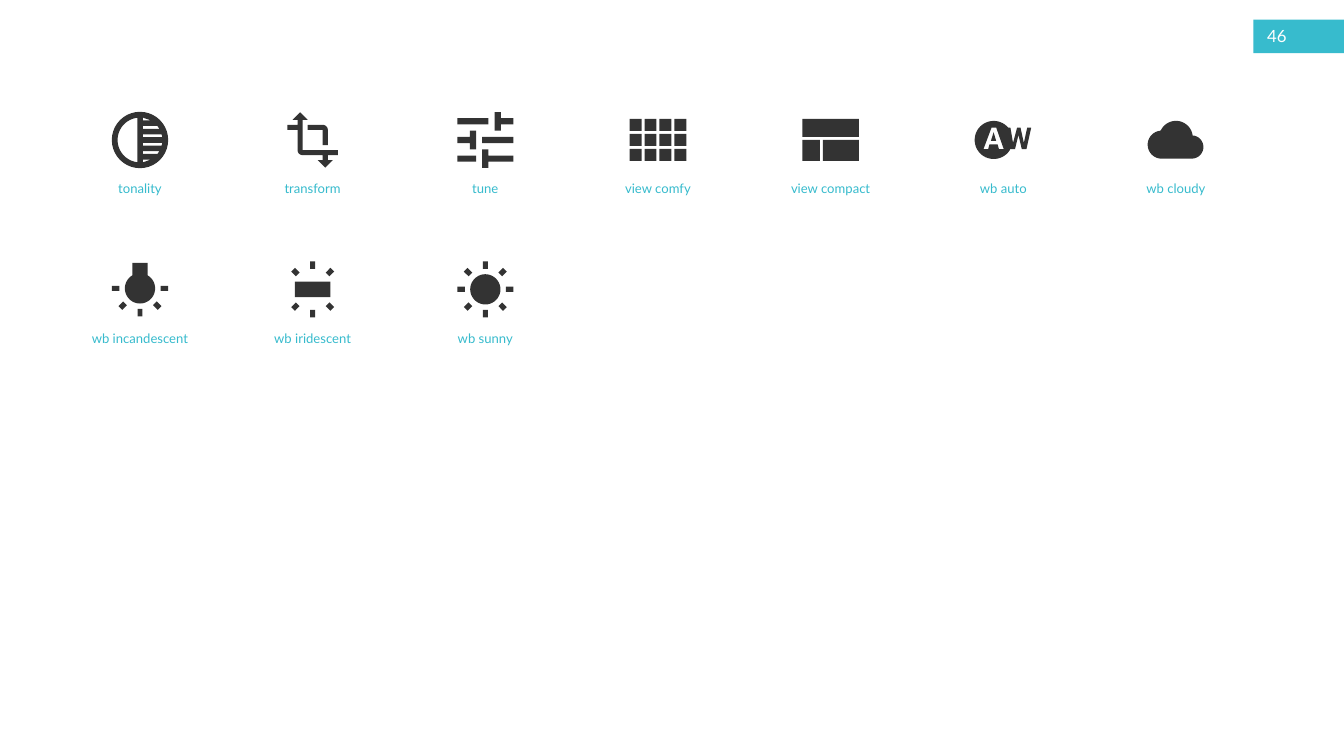
import math
from pptx import Presentation
from pptx import util as u
from pptx.dml import color
from pptx.enum import shapes, text

Pt = u.Pt
hues = {"teal": "37BBCD", "dark": "333333", "white": "FFFFFF"}
rgb = {name: color.RGBColor.from_string(code) for name, code in hues.items()}


def box(x, y, w, h):
    return [(x, y), (x + w, y), (x + w, y + h), (x, y + h)]


def arc(x, y, r, start, end):
    steps = 40
    turns = [math.radians(start + (end - start) * i / steps) for i in range(steps + 1)]
    return [(x + r * math.cos(t), y + r * math.sin(t)) for t in turns]


stripes = []
for y in (3, 12, 21):
    near, far = [max(3, math.sqrt(24 ** 2 - v ** 2)) for v in (y, y + 3)]
    for sign in (1, -1):
        stripes.append([(3, sign * y), (near, sign * y),
                        (far, sign * (y + 3)), (3, sign * (y + 3))])
tone = [arc(0, 0, 30.2, 0, 360), arc(0, 0, 24, 97, 263)] + stripes

crop = [
    [(5, 3), (5, 2), (-2, 2), (-2, -4), (-1, -4), (-2.5, -5.5), (-4, -4),
     (-3, -4), (-3, -3), (-5, -3), (-5, -2), (-3, -2)]
    + arc(-2, 2, 1, 180, 90)
    + [(2, 3), (2, 4), (1, 4), (2.5, 5.5), (4, 4), (3, 4), (3, 3)],
    [(-1, -2), (2, -2), (2, 1), (3, 1)] + arc(2, -2, 1, 0, -90) + [(-1, -3)],
]

tune = [
    box(-4.5, 2.5, 3, 1), box(-4.5, -3.5, 5, 1), box(-0.5, -0.5, 5, 1),
    [(0.5, 4.5), (0.5, 3.5), (4.5, 3.5), (4.5, 2.5), (0.5, 2.5), (0.5, 1.5),
     (-0.5, 1.5), (-0.5, 4.5)],
    [(-2.5, -1.5), (-2.5, -0.5), (-4.5, -0.5), (-4.5, 0.5), (-2.5, 0.5),
     (-2.5, 1.5), (-1.5, 1.5), (-1.5, -1.5)],
    [(1.5, -1.5), (2.5, -1.5), (2.5, -2.5), (4.5, -2.5), (4.5, -3.5),
     (2.5, -3.5), (2.5, -4.5), (1.5, -4.5)],
]

comfy = [box(-30.4 + 16 * i, -22.5 + 16 * j, 12.8, 12.8)
         for j in range(3) for i in range(4)]
compact = [box(-30.4, -22.5, 60.6, 19.3), box(-30.4, -0.2, 19, 22.5),
           box(-8.2, -0.2, 38.4, 22.5)]

auto = [
    arc(-10.3, 0, 20.4, 27, 320)
    + [(7.6, -13.3), (10.4, 3.2), (14.8, -13.3), (18.4, -13.3), (22, 3.2),
       (25.6, -13.3), (29.9, -13.3), (24.8, 9.7), (19.8, 9.7), (16.2, -5.4),
       (12.6, 9.7), (8.3, 9.7)],
    [(-4.7, 9.7), (-6.1, 4.7), (-14.8, 4.7), (-16.2, 9.7), (-21.2, 9.7),
     (-12.6, -13.3), (-7.6, -13.3), (0.4, 9.7)],
    [(-13.3, 1.1), (-7.6, 1.1), (-10.4, -8.3)],
]
cloud = [arc(-15.3, 5, 15, 90, 264) + arc(0, -2.5, 18, 207, 350)
         + arc(17, 7.5, 12.4, -88, 90)]

beam = [(14, 18), (19, 23), (23, 19), (18, 14)]
low = [[(sign * x, y) for x, y in beam] for sign in (1, -1)]
high = [[(x, -y) for x, y in ray] for ray in low]
sides = [box(-30, -2.8, 8, 5.6), box(22, -2.8, 8, 5.6)]
foot = [box(-2.6, 22, 5.2, 8)]
head = [box(-2.6, -30, 5.2, 8)]
bulb = [arc(0, 0, 16.2, -60, 240) + [(-8.2, -27.4), (8.2, -27.4)]]
lamp = bulb + sides + low + foot
bar = [box(-19, -8.3, 38, 16.6)] + head + foot + low + high
sun = [arc(0, 0, 16.2, 0, 360)] + sides + head + foot + low + high

icons = [
    ("tonality", 1, 0, tone), ("transform", 5.4, 0, crop), ("tune", 6.66, 0, tune),
    ("view comfy", 1, 0, comfy), ("view compact", 1, 0, compact),
    ("wb auto", 1, 0, auto), ("wb cloudy", 1, 0, cloud),
    ("wb incandescent", 1, -1, lamp), ("wb iridescent", 1, 0, bar),
    ("wb sunny", 1, 0, sun),
]

deck = Presentation()
deck.slide_width, deck.slide_height = Pt(1440), Pt(810)
slide = deck.slides.add_slide(deck.slide_layouts[6])
items = slide.shapes

tab = items.add_shape(shapes.MSO_SHAPE.RECTANGLE, Pt(1343), Pt(21), Pt(97), Pt(36))
tab.shadow.inherit = False
tab.fill.solid()
tab.fill.fore_color.rgb = rgb["teal"]
tab.line.fill.background()

left, mid, top = text.PP_ALIGN.LEFT, text.PP_ALIGN.CENTER, text.MSO_ANCHOR.TOP
labels = [("46", 1350.5, 20, 48, 36, 18, "white", left, text.MSO_ANCHOR.MIDDLE)]

for n, (name, size, shift, parts) in enumerate(icons):
    row, col = divmod(n, 7)
    x, y = 150 + 185 * col, 150 + 160 * row
    labels.append((name, x - 100, y + 40, 200, 24.5, 14, "teal", mid, top))
    paths = [[(Pt(a * size), Pt(b * size)) for a, b in part] for part in parts]
    pen = items.build_freeform(*paths[0][0], scale=1.0)
    for k, path in enumerate(paths):
        if k:
            pen.move_to(*path[0])
        pen.add_line_segments(path[1:], close=True)
    icon = pen.convert_to_shape(Pt(x), Pt(y + shift))
    icon.shadow.inherit = False
    icon.fill.solid()
    icon.fill.fore_color.rgb = rgb["dark"]
    icon.line.fill.background()

for words, x, y, w, h, size, hue, align, anchor in labels:
    frame = items.add_textbox(Pt(x), Pt(y), Pt(w), Pt(h)).text_frame
    frame.word_wrap = True
    frame.vertical_anchor = anchor
    para = frame.paragraphs[0]
    para.alignment = align
    run = para.add_run()
    run.text = words
    run.font.name = "Lato"
    run.font.size = Pt(size)
    run.font.color.rgb = rgb[hue]

deck.save("out.pptx")
